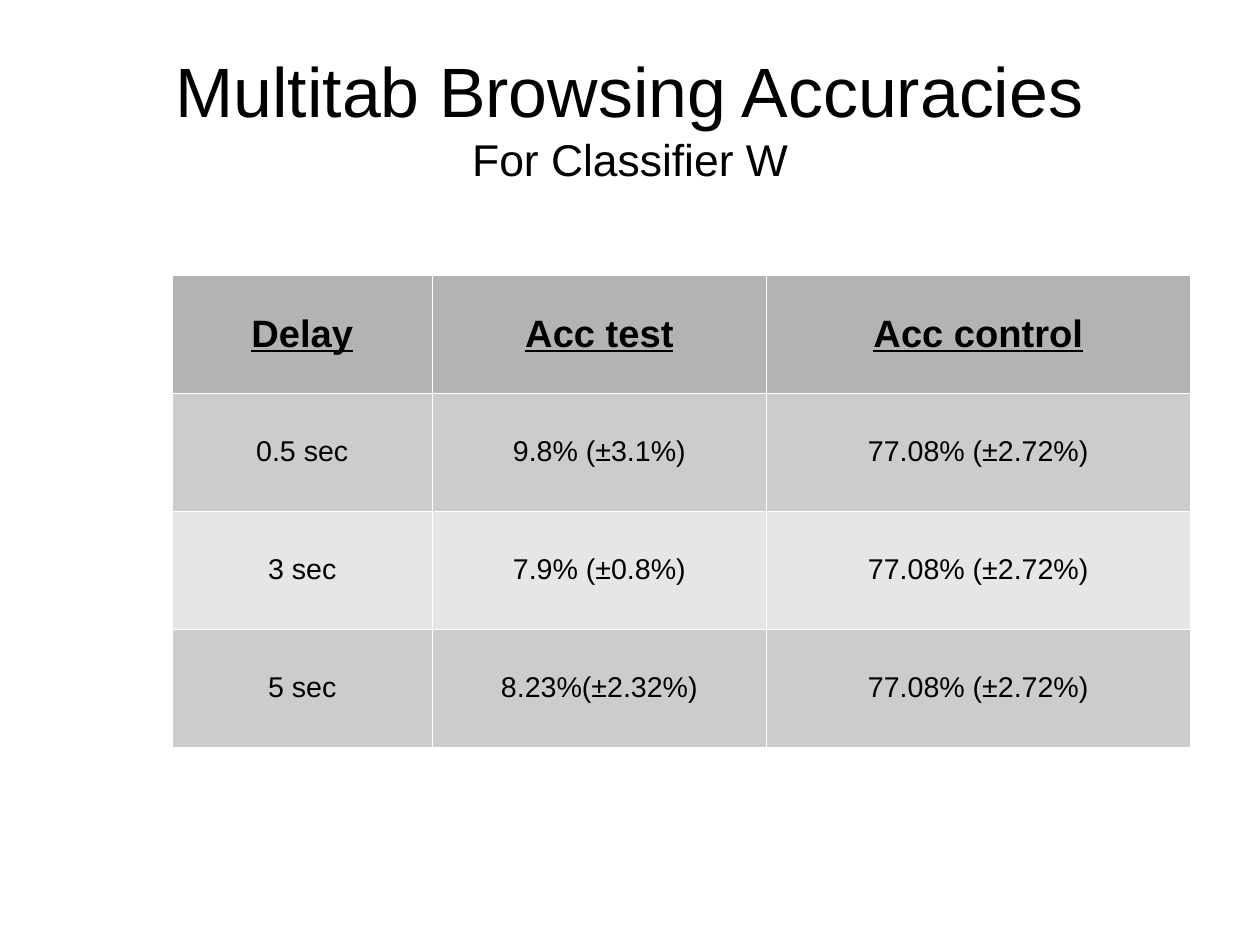
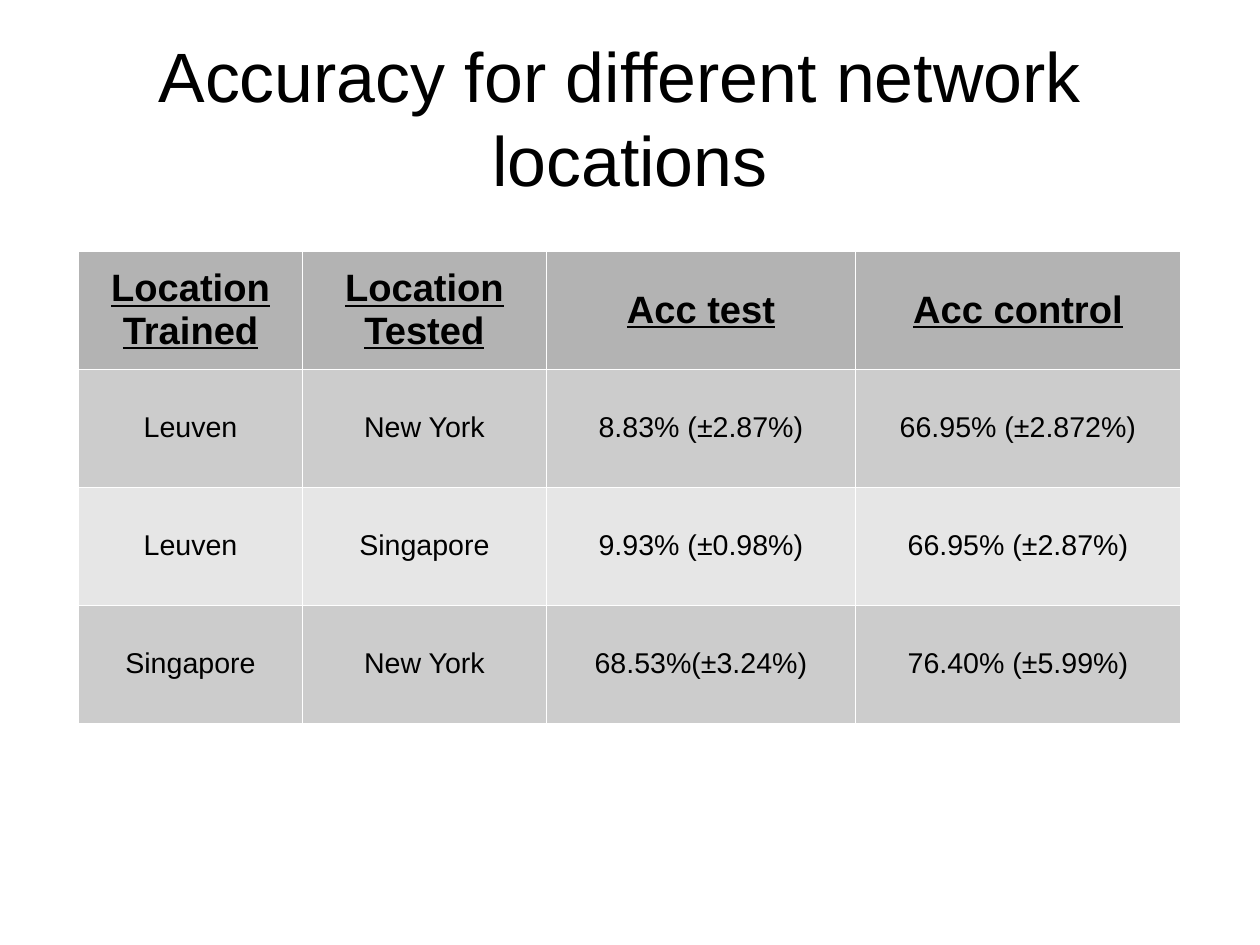
"""Build two slides of classifier accuracy tables."""
from dataclasses import dataclass

from lxml.etree import SubElement as Sub
from pptx import Presentation
from pptx.dml.color import RGBColor as Rgb
from pptx.enum.text import MSO_ANCHOR as Anchor, MSO_AUTO_SIZE as Fit, PP_ALIGN as Align
from pptx.oxml.ns import qn
from pptx.util import Pt

HUES = {"text": "000000", "line": "FFFFFF", "head": "B3B3B3", "odd": "CCCCCC", "even": "E6E6E6"}
FACE = "Arial"
ROW = 74.33
TITLE = (39.7, 23.8, 714.3, 99.4)


@dataclass
class Page:
    title: str
    sizes: tuple[int, ...]
    left: float
    top: float
    cols: list[float]
    rows: list[list[str]]


PAGES = [
    Page("Multitab Browsing Accuracies\vFor Classifier W", (44, 28), 108.3, 173.2,
         [164.1, 210.3, 267.1],
         [["Delay", "Acc test", "Acc control"],
          ["0.5 sec", "9.8% (±3.1%)", "77.08% (±2.72%)"],
          ["3 sec", "7.9% (±0.8%)", "77.08% (±2.72%)"],
          ["5 sec", "8.23%(±2.32%)", "77.08% (±2.72%)"]]),
    Page("Accuracy for different network \vlocations", (44, 44), 49.5, 158,
         [141, 153.7, 194.7, 204.7],
         [["Location Trained", "Location Tested", "Acc test", "Acc control"],
          ["Leuven", "New York", "8.83% (±2.87%)", "66.95% (±2.872%)"],
          ["Leuven", "Singapore", "9.93% (±0.98%)", "66.95% (±2.87%)"],
          ["Singapore", "New York", "68.53%(±3.24%)", "76.40% (±5.99%)"]]),
]


def style(run, size: float, head: bool = False) -> None:
    font = run.font
    font.name, font.size = FACE, Pt(size)
    font.bold = font.underline = head
    font.color.rgb = Rgb.from_string(HUES["text"])


def add_title(slide, page: Page) -> None:
    box = slide.shapes.title
    box.left, box.top, box.width, box.height = map(Pt, TITLE)
    frame = box.text_frame
    frame.text = page.title
    frame.word_wrap = True
    frame.auto_size = Fit.SHAPE_TO_FIT_TEXT
    frame.vertical_anchor = Anchor.MIDDLE
    frame.margin_left = frame.margin_right = frame.margin_top = frame.margin_bottom = 0
    para = frame.paragraphs[0]
    para.alignment = Align.CENTER
    for run, size in zip(para.runs, page.sizes):
        style(run, size)


def add_edges(cell) -> None:
    props = cell._tc.get_or_add_tcPr()
    for side in ("lnL", "lnR", "lnT", "lnB"):
        edge = Sub(props, qn(f"a:{side}"), w=str(Pt(0.06)))
        Sub(Sub(edge, qn("a:solidFill")), qn("a:srgbClr"), val=HUES["line"])


def fill_cell(cell, text: str, row: int) -> None:
    head = row == 0
    add_edges(cell)
    cell.fill.solid()
    hue = "head" if head else "odd" if row % 2 else "even"
    cell.fill.fore_color.rgb = Rgb.from_string(HUES[hue])
    cell.vertical_anchor = Anchor.MIDDLE
    cell.margin_left = cell.margin_right = Pt(7.2)
    cell.margin_top = cell.margin_bottom = Pt(3.6)
    para = cell.text_frame.paragraphs[0]
    para.text = text
    para.alignment = Align.CENTER
    style(para.runs[0], 24 if head else 18, head)


def add_grid(slide, page: Page) -> None:
    count = len(page.rows)
    grid = slide.shapes.add_table(count, len(page.cols), Pt(page.left), Pt(page.top),
                                  Pt(sum(page.cols)), Pt(ROW * count)).table
    for col, width in zip(grid.columns, page.cols):
        col.width = Pt(width)
    for r, texts in enumerate(page.rows):
        grid.rows[r].height = Pt(ROW)
        for c, text in enumerate(texts):
            fill_cell(grid.cell(r, c), text, r)


def main() -> None:
    deck = Presentation()
    deck.slide_width, deck.slide_height = Pt(793.7), Pt(595.28)
    for page in PAGES:
        slide = deck.slides.add_slide(deck.slide_layouts[5])
        add_title(slide, page)
        add_grid(slide, page)
    deck.save("out.pptx")


if __name__ == "__main__":
    main()
